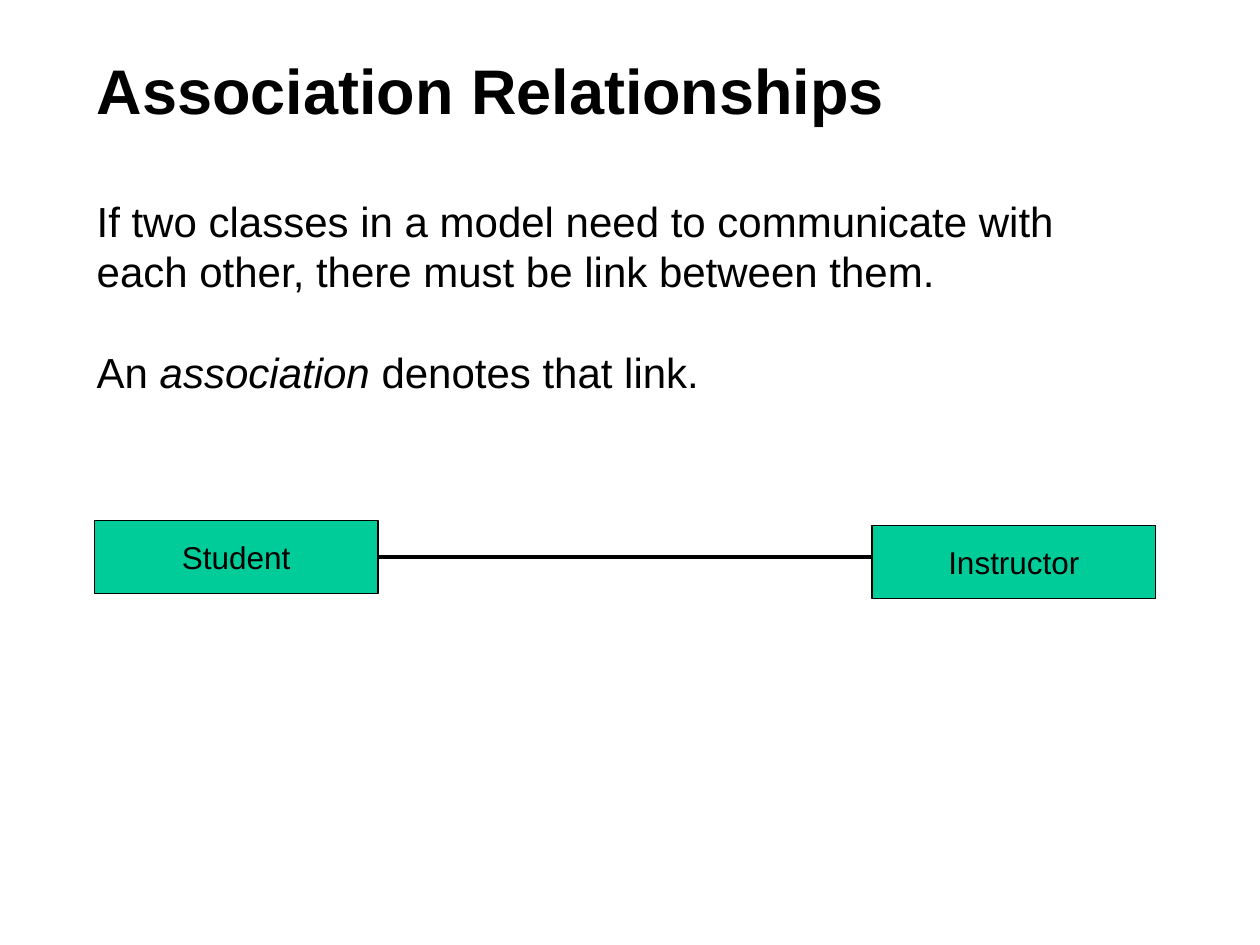
import pptx
import pptx.util
import pptx.dml.color
import pptx.enum.shapes
import pptx.enum.text
import pptx.oxml.ns
import lxml.etree

Cm, Pt = pptx.util.Cm, pptx.util.Pt
ALIGN = pptx.enum.text.PP_ALIGN
FIT = pptx.enum.text.MSO_AUTO_SIZE
MIDDLE = pptx.enum.text.MSO_ANCHOR.MIDDLE

HEX = {"ink": "000000", "box": "00CC99", "page": "FFFFFF"}
FONT = "Arial"
TITLE = "Association Relationships"
BODY = [
    [("If two classes in a model need to communicate with each other, "
      "there must be link between them.", False)],
    [("An ", False), ("association", True), (" denotes that link.", False)],
]
BOXES = [("Instructor", 17.58, 10.59), ("Student", 1.9, 10.49)]
BOX_W, BOX_H = 5.72, 1.47
LINK_END = 17.78


def color(key):
    return pptx.dml.color.RGBColor.from_string(HEX[key])


def style(item, size, bold=False, italic=False):
    font = item.font
    font.name, font.size = FONT, Pt(size)
    font.bold, font.italic = bold, italic
    font.color.rgb = color("ink")


def add_title(slide):
    title = slide.shapes.title
    title.left, title.top, title.width, title.height = map(Cm, (1.7, 1.07, 21.79, 1.47))
    frame = title.text_frame
    frame.text = TITLE
    frame.auto_size = FIT.NONE
    frame.vertical_anchor = MIDDLE
    para = frame.paragraphs[0]
    para.alignment = ALIGN.LEFT
    style(para.runs[0], 36, bold=True)


def add_body(slide):
    frame = slide.shapes.add_textbox(*map(Cm, (1.7, 3.81, 20.73, 4.32))).text_frame
    frame.word_wrap = True
    frame.auto_size = FIT.SHAPE_TO_FIT_TEXT
    for i, parts in enumerate(BODY):
        para = frame.add_paragraph() if i else frame.paragraphs[0]
        if i:
            para.space_before = Pt(28.8)
        for text, italic in parts:
            run = para.add_run()
            run.text = text
            style(run, 24, italic=italic)


def add_link(slide):
    kind = pptx.enum.shapes.MSO_CONNECTOR.STRAIGHT
    y = Cm(BOXES[1][2] + BOX_H / 2)
    link = slide.shapes.add_connector(kind, Cm(BOXES[1][1] + BOX_W), y, Cm(LINK_END), y)
    link.line.color.rgb = color("ink")
    link.line.width = Pt(2.25)
    props = link._element.spPr
    lxml.etree.SubElement(props, pptx.oxml.ns.qn("a:effectLst"))
    return link


def add_box(slide, name, x, y):
    kind = pptx.enum.shapes.MSO_SHAPE.RECTANGLE
    box = slide.shapes.add_shape(kind, Cm(x), Cm(y), Cm(BOX_W), Cm(BOX_H))
    box.shadow.inherit = False
    box.fill.solid()
    box.fill.fore_color.rgb = color("box")
    box.line.color.rgb = color("ink")
    box.line.width = Pt(0.75)
    frame = box.text_frame
    frame.text = name
    frame.word_wrap = False
    frame.vertical_anchor = MIDDLE
    para = frame.paragraphs[0]
    para.alignment = ALIGN.CENTER
    style(para.runs[0], 18)
    return box


def main():
    """Build the association slide."""
    deck = pptx.Presentation()
    deck.slide_width, deck.slide_height = Cm(25.4), Cm(19.05)
    slide = deck.slides.add_slide(deck.slide_layouts[5])
    slide.background.fill.solid()
    slide.background.fill.fore_color.rgb = color("page")
    add_title(slide)
    add_body(slide)
    link = add_link(slide)
    boxes = {name: add_box(slide, name, x, y) for name, x, y in BOXES}
    link.begin_connect(boxes["Student"], 3)
    deck.save("out.pptx")


if __name__ == "__main__":
    main()
